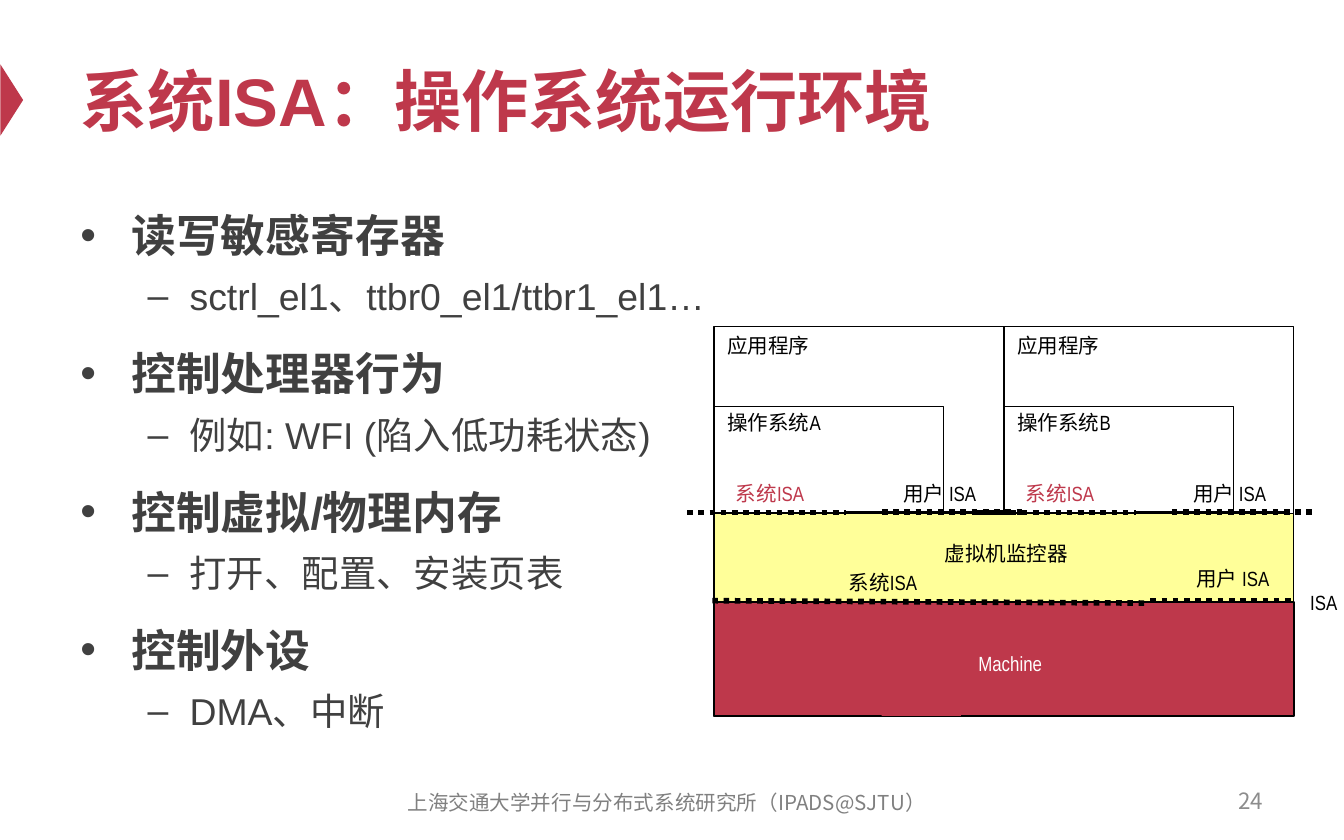
import pptx
import pptx.util
import pptx.dml.color
import pptx.enum.dml
import pptx.enum.shapes
import pptx.enum.text
import pptx.oxml
import pptx.oxml.ns

Pt = pptx.util.Pt
SHAPE = pptx.enum.shapes.MSO_SHAPE
ANCHOR = pptx.enum.text.MSO_ANCHOR
ALIGN = pptx.enum.text.PP_ALIGN
CJK = "Noto Sans CJK SC"
RED, BLACK, GREY = "BE384B", "000000", "404040"
LEFT, VM_W, VMM_TOP, HW_TOP, HW_H = 382.5, 155.3, 275, 322.5, 61.2


def rgb(code):
    """Return the colour for a hex string."""
    return pptx.dml.color.RGBColor.from_string(code)


def place(sp, x, y, w, h):
    """Set the position and size of a shape in points."""
    sp.left, sp.top, sp.width, sp.height = Pt(x), Pt(y), Pt(w), Pt(h)


def add_run(p, text, size=11, color=BLACK, font="Arial Narrow", bold=False):
    """Add a formatted run to a paragraph."""
    r = p.add_run()
    r.text = text
    r.font.size, r.font.bold, r.font.name = Pt(size), bold, font
    r.font.color.rgb = rgb(color)
    ea = pptx.oxml.parse_xml(f'<a:ea {pptx.oxml.ns.nsdecls("a")} typeface="{CJK}"/>')
    r.font._element.append(ea)


def set_text(sp, text, align=ALIGN.LEFT, anchor=ANCHOR.MIDDLE, right=0, top=3.6, **fmt):
    """Write one formatted paragraph into a shape."""
    tf = sp.text_frame
    tf.word_wrap = True
    tf.auto_size = pptx.enum.text.MSO_AUTO_SIZE.NONE
    tf.vertical_anchor = anchor
    tf.margin_right, tf.margin_top = Pt(right), Pt(top)
    p = tf.paragraphs[0]
    p.alignment = align
    add_run(p, text, **fmt)


def add_label(s, text, x, y, w=56.9, h=18.7, **fmt):
    """Add a text box with one line."""
    sp = s.shapes.add_textbox(Pt(x), Pt(y), Pt(w), Pt(h))
    set_text(sp, text, **fmt)


def add_box(s, x, y, w, h, fill=None, line=BLACK, kind=SHAPE.RECTANGLE):
    """Add a preset shape with optional fill and outline."""
    sp = s.shapes.add_shape(kind, Pt(x), Pt(y), Pt(w), Pt(h))
    sp.shadow.inherit = False
    if fill:
        sp.fill.solid()
        sp.fill.fore_color.rgb = rgb(fill)
    else:
        sp.fill.background()
    if line:
        sp.line.color.rgb = rgb(line)
        sp.line.width = Pt(0.75)
    else:
        sp.line.fill.background()
    return sp


def add_line(s, x1, y1, x2, y2, dotted=False):
    """Add a thin solid or thick dotted line."""
    cn = s.shapes.add_connector(
        pptx.enum.shapes.MSO_CONNECTOR.STRAIGHT, Pt(x1), Pt(y1), Pt(x2), Pt(y2))
    cn.line.color.rgb = rgb(BLACK)
    cn.line.width = Pt(3 if dotted else 0.75)
    if dotted:
        cn.line.dash_style = pptx.enum.dml.MSO_LINE.ROUND_DOT
    cn._element.spPr.append(
        pptx.oxml.parse_xml(f'<a:effectLst {pptx.oxml.ns.nsdecls("a")}/>'))


def add_bullet(p, char, left, hang):
    """Give a paragraph a bullet and a hanging indent."""
    pPr = p._p.get_or_add_pPr()
    pPr.set("marL", str(Pt(left)))
    pPr.set("indent", str(-Pt(hang)))
    ns = pptx.oxml.ns.nsdecls("a")
    pPr.append(pptx.oxml.parse_xml(f'<a:buFont {ns} typeface="Arial"/>'))
    pPr.append(pptx.oxml.parse_xml(f'<a:buChar {ns} char="{char}"/>'))


def add_topics(s, topics):
    """Add the two-level bulleted list."""
    tf = s.shapes.add_textbox(Pt(36), Pt(105), Pt(648), Pt(297)).text_frame
    tf.word_wrap = True
    for i, (head, detail) in enumerate(topics):
        p = tf.add_paragraph() if i else tf.paragraphs[0]
        p.line_spacing, p.space_before = 1.1, Pt(12 if i else 0)
        add_bullet(p, "•", 27.3, 27.3)
        add_run(p, head, size=24, color=GREY, font="Arial", bold=True)
        p = tf.add_paragraph()
        p.level, p.line_spacing, p.space_before = 1, 1.1, Pt(4)
        add_bullet(p, "–", 58.5, 22.5)
        add_run(p, detail, size=20, color=GREY, font="Arial")


def add_hardware(s):
    """Draw the monitor and machine layers."""
    add_box(s, LEFT, VMM_TOP, 2 * VM_W, HW_TOP - VMM_TOP, fill="FFFF99")
    add_box(s, LEFT, VMM_TOP, 2 * VM_W, HW_TOP + HW_H - VMM_TOP)
    add_box(s, LEFT, HW_TOP, 94.3, HW_H, fill=RED)
    add_box(s, 491, HW_TOP, 202.3, HW_H, fill=RED)
    add_box(s, 472.3, HW_TOP, 42.5, HW_H, fill=RED, line=None)
    add_line(s, 467.3, HW_TOP + HW_H, 514.8, HW_TOP + HW_H)
    machine = add_box(s, 517, 343.4, 85, 23.8, fill=RED, line=None)
    set_text(machine, "Machine", color="FFFFFF")
    add_line(s, 452.9, HW_TOP, 533.5, HW_TOP)
    add_line(s, 381.6, 321.8, 615.6, 323.1, dotted=True)
    add_line(s, 616.3, 321.8, 691.9, 321.8, dotted=True)
    add_label(s, "虚拟机监控器", 499, 286.4, w=80.6, h=20.2)
    add_label(s, "系统ISA", 447.6, 302.4)
    add_label(s, "用户 ISA", 633.8, 300.4)
    add_label(s, "ISA", 694.8, 313.2, w=33.1)


def add_vm(s, x, system):
    """Draw one virtual machine with its application and system."""
    add_box(s, x, 175, VM_W, 100)
    sp = add_box(s, x, 217.8, 123.1, 57)
    set_text(sp, system, anchor=ANCHOR.TOP, top=2)
    add_label(s, "应用程序", x, 175.7, w=108.7)
    add_label(s, "系统ISA", x + 4.6, 254.9, color=RED)
    add_label(s, "用户 ISA", x + 94.3, 254.9)
    add_line(s, x + 70.6, 274.3, x + 151.2, 274.3)
    add_line(s, x - 14.4, 274.6, x + 70.6, 274.6, dotted=True)
    add_line(s, x + 90, 274.3, x + 165.6, 274.3, dotted=True)


def main():
    """Build the slide and save it."""
    prs = pptx.Presentation()
    prs.slide_width, prs.slide_height = Pt(720), Pt(450)
    s = prs.slides.add_slide(prs.slide_layouts[5])
    marker = add_box(s, -12.8, 47.5, 38.2, 12.2, fill=RED, line=None,
                     kind=SHAPE.ISOSCELES_TRIANGLE)
    marker.rotation = 90
    place(s.shapes.title, 36, 18, 648, 70.6)
    set_text(s.shapes.title, "系统ISA：操作系统运行环境",
             size=36, color=RED, font="Arial", bold=True)
    add_topics(s, [
        ("读写敏感寄存器", "sctrl_el1、ttbr0_el1/ttbr1_el1…"),
        ("控制处理器行为", "例如: WFI (陷入低功耗状态)"),
        ("控制虚拟/物理内存", "打开、配置、安装页表"),
        ("控制外设", "DMA、中断"),
    ])
    add_hardware(s)
    for i, system in enumerate(["操作系统A", "操作系统B"]):
        add_vm(s, LEFT + i * VM_W, system)
    add_label(s, "上海交通大学并行与分布式系统研究所（IPADS@SJTU）", 201.2, 417.8,
              w=311.8, h=23.8, align=ALIGN.CENTER, right=7.2, color="808080", font=CJK)
    add_label(s, "24", 516, 416.9, w=167.8, h=23.8, align=ALIGN.RIGHT,
              right=7.2, size=12, color="8C8C8C", font=CJK)
    prs.save("out.pptx")


if __name__ == "__main__":
    main()
